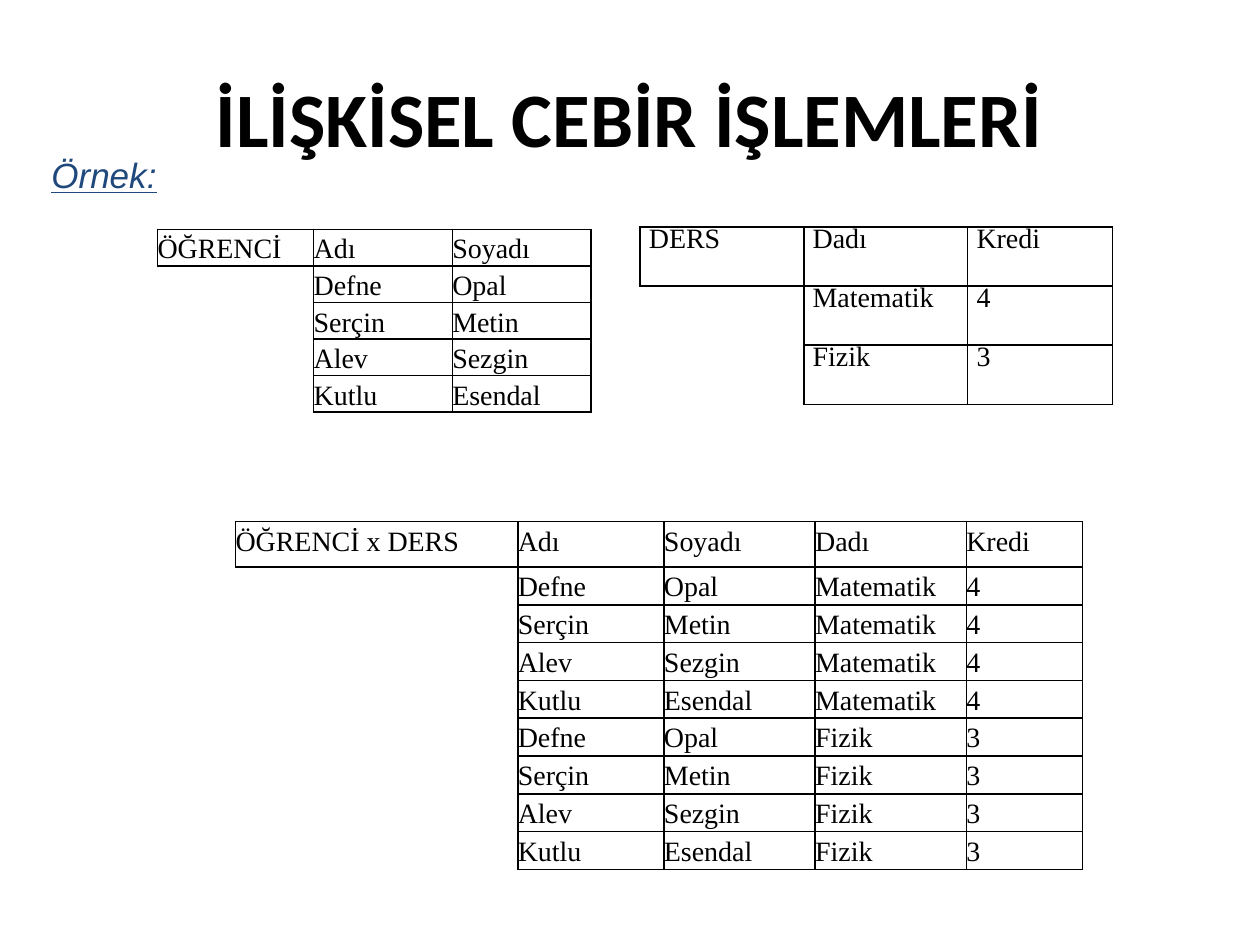
from lxml import etree
from pptx import Presentation
from pptx.dml.color import RGBColor
from pptx.enum.text import MSO_ANCHOR, PP_ALIGN
from pptx.oxml.ns import qn
from pptx.util import Inches, Pt

MIDDLE, TOP, CENTER = MSO_ANCHOR.MIDDLE, MSO_ANCHOR.TOP, PP_ALIGN.CENTER
BLACK, NAVY = "000000", "1F487C"


def write(paragraph, text, font, size, color, bold=False, italic=False):
    run = paragraph.add_run()
    run.text = text
    run.font.name = font
    run.font.size = Pt(size)
    run.font.bold = bold
    run.font.italic = italic
    run.font.color.rgb = RGBColor.from_string(color)
    return run


def set_borders(cell, sides):
    properties = cell._tc.get_or_add_tcPr()
    for side in "LRTB":
        line = etree.SubElement(properties, qn(f"a:ln{side}"), w=str(Pt(1)))
        if side in sides:
            fill = etree.SubElement(line, qn("a:solidFill"))
            etree.SubElement(fill, qn("a:srgbClr"), val=BLACK)
        else:
            etree.SubElement(line, qn("a:noFill"))


presentation = Presentation()
presentation.slide_width, presentation.slide_height = Inches(10), Inches(7.5)
slide = presentation.slides.add_slide(presentation.slide_layouts[5])

# Title
title = slide.shapes.title
title.left, title.top = Inches(0.5), Inches(0.3)
title.width, title.height = Inches(9), Inches(1.25)
title.text_frame.vertical_anchor = MIDDLE
heading = title.text_frame.paragraphs[0]
heading.alignment = CENTER
write(heading, "İLİŞKİSEL CEBİR İŞLEMLERİ", "Calibri", 44, BLACK, bold=True)

# Relations and their Cartesian product
students = [("Defne", "Opal"), ("Serçin", "Metin"), ("Alev", "Sezgin"), ("Kutlu", "Esendal")]
courses = [("Matematik", "4"), ("Fizik", "3")]
product = [student + course for course in courses for student in students]
student_fields, course_fields = ("Adı", "Soyadı"), ("Dadı", "Kredi")

# name, fields, records, left, top, column widths, header height, row height,
# line spacing, text indent
relations = [
    ("DERS", course_fields, courses, 5.08, 1.8,
     (1.3, 1.3, 1.15), 0.47, 0.47, Pt(15.7), 0.07),
    ("ÖĞRENCİ", student_fields, students, 1.25, 1.82,
     (1.24, 1.1, 1.1), 0.29, 0.29, 1.15, 0),
    ("ÖĞRENCİ x DERS", student_fields + course_fields, product, 1.87, 4.14,
     (2.24, 1.16, 1.2, 1.2, 0.92), 0.36, 0.3, 1.15, 0),
]

for (name, fields, records, left, top, widths,
     header_height, row_height, spacing, indent) in relations:
    heights = [header_height] + [row_height] * len(records)
    table = slide.shapes.add_table(
        len(heights), len(widths), Inches(left), Inches(top),
        Inches(sum(widths)), Inches(sum(heights))).table
    table.first_row = table.horz_banding = False
    for column, width in zip(table.columns, widths):
        column.width = Inches(width)
    for row, height in zip(table.rows, heights):
        row.height = Inches(height)

    # The area below the relation's name is one open cell
    table.cell(1, 0).merge(table.cell(len(records), 0))
    lines = [(name, *fields)] + [("", *record) for record in records]
    for r, values in enumerate(lines):
        for c, value in enumerate(values):
            cell = table.cell(r, c)
            cell.margin_left = cell.margin_right = 0
            cell.margin_top = cell.margin_bottom = 0
            if value:
                set_borders(cell, "LRTB")
            else:
                set_borders(cell, "TR" if r == 1 else "R")
            cell.fill.background()
            if value:
                entry = cell.text_frame.paragraphs[0]
                entry.line_spacing = spacing
                if indent:
                    entry._p.get_or_add_pPr().set("marL", str(Inches(indent)))
                write(entry, value, "Times New Roman", 16, BLACK)

# Example label
label = slide.shapes.add_textbox(Inches(0.31), Inches(1.17), Inches(1.04), Inches(0.98))
label.text_frame.word_wrap = False
label.text_frame.vertical_anchor = TOP
example = write(label.text_frame.paragraphs[0], "Örnek:", "Arial", 20, NAVY, italic=True)
example.font.underline = True

presentation.save("out.pptx")
